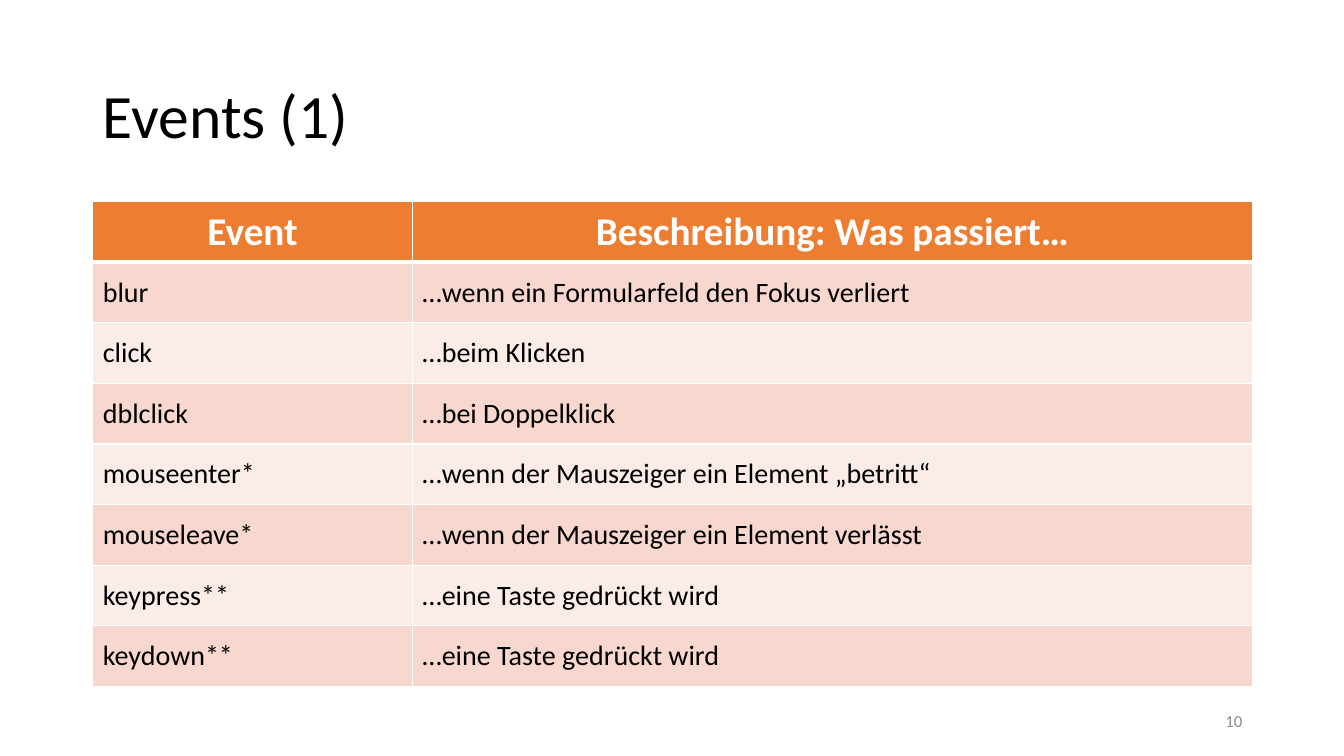
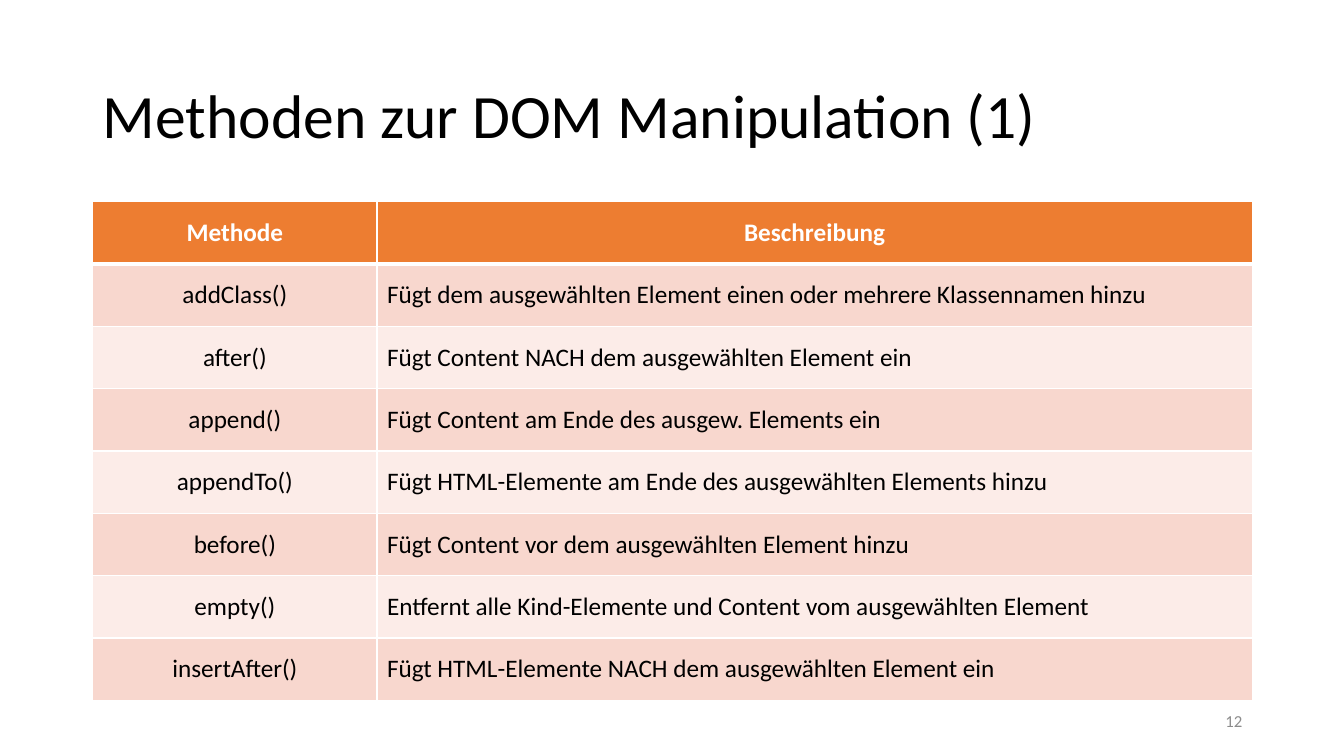
import lxml.etree
import pptx
import pptx.dml.color
import pptx.enum.text
import pptx.oxml.ns
import pptx.util

ALIGN = pptx.enum.text.PP_ALIGN
MIDDLE = pptx.enum.text.MSO_ANCHOR.MIDDLE
COLORS = {"text": "000000", "white": "FFFFFF", "header": "ED7D31",
          "odd row": "F8D7CE", "even row": "FCECE8", "page number": "8C8C8C"}
FONT = "Calibri"

deck = pptx.Presentation()
deck.slide_width = pptx.util.Inches(13.33)
deck.slide_height = pptx.util.Inches(7.5)

# Shared grid
LEFT = pptx.util.Inches(0.92)
WIDTH = pptx.util.Inches(11.5)
TITLE_BOX = {"left": LEFT, "top": pptx.util.Inches(0.5),
             "width": WIDTH, "height": pptx.util.Inches(1.35)}
TABLE_TOP = pptx.util.Inches(2)
NUMBER_WIDTH = pptx.util.Inches(3)
NUMBER_TOP = pptx.util.Inches(6.95)
NUMBER_HEIGHT = pptx.util.Inches(0.4)

# Content of each slide
pages = [
    {"title": "Events (1)", "number": "10", "table height": 4.81, "first column": 3.17,
     "header size": 28, "row size": 20, "first align": ALIGN.LEFT,
     "rows": [
         ("Event", "Beschreibung: Was passiert…"),
         ("blur", "…wenn ein Formularfeld den Fokus verliert"),
         ("click", "…beim Klicken"),
         ("dblclick", "…bei Doppelklick"),
         ("mouseenter*", "…wenn der Mauszeiger ein Element „betritt“"),
         ("mouseleave*", "…wenn der Mauszeiger ein Element verlässt"),
         ("keypress**", "…eine Taste gedrückt wird"),
         ("keydown**", "…eine Taste gedrückt wird")]},
    {"title": "Methoden zur DOM Manipulation (1)", "number": "12", "table height": 4.95,
     "first column": 2.82, "header size": 18, "row size": 18, "first align": ALIGN.CENTER,
     "rows": [
         ("Methode", "Beschreibung"),
         ("addClass()", "Fügt dem ausgewählten Element einen oder mehrere Klassennamen hinzu"),
         ("after()", "Fügt Content NACH dem ausgewählten Element ein"),
         ("append()", "Fügt Content am Ende des ausgew. Elements ein"),
         ("appendTo()", "Fügt HTML-Elemente am Ende des ausgewählten Elements hinzu"),
         ("before()", "Fügt Content vor dem ausgewählten Element hinzu"),
         ("empty()", "Entfernt alle Kind-Elemente und Content vom ausgewählten Element"),
         ("insertAfter()", "Fügt HTML-Elemente NACH dem ausgewählten Element ein")]},
]


def write(frame, text, size, color, align, bold=False):
    frame.text = text
    paragraph = frame.paragraphs[0]
    paragraph.alignment = align
    font = paragraph.runs[0].font
    for key, value in {"name": FONT, "size": pptx.util.Pt(size), "bold": bold}.items():
        setattr(font, key, value)
    font.color.rgb = pptx.dml.color.RGBColor.from_string(COLORS[color])
    return paragraph


def add_borders(cell, top, bottom):
    properties = cell._tc.get_or_add_tcPr()
    widths = {"a:lnL": 1, "a:lnR": 1, "a:lnT": top, "a:lnB": bottom}
    for place, (side, points) in enumerate(widths.items()):
        line = lxml.etree.Element(pptx.oxml.ns.qn(side), w=str(pptx.util.Pt(points)))
        fill = lxml.etree.SubElement(line, pptx.oxml.ns.qn("a:solidFill"))
        lxml.etree.SubElement(fill, pptx.oxml.ns.qn("a:srgbClr"), val=COLORS["white"])
        properties.insert(place, line)


for page in pages:
    slide = deck.slides.add_slide(deck.slide_layouts.get_by_name("Title Only"))

    # Title
    title = slide.shapes.title
    for key, value in TITLE_BOX.items():
        setattr(title, key, value)
    title.text_frame.vertical_anchor = MIDDLE
    write(title.text_frame, page["title"], 44, "text", ALIGN.LEFT).line_spacing = 0.9

    # Table
    rows = page["rows"]
    height = pptx.util.Inches(page["table height"])
    table = slide.shapes.add_table(len(rows), 2, LEFT, TABLE_TOP, WIDTH, height).table
    table.horz_banding = False
    table.columns[0].width = pptx.util.Inches(page["first column"])
    table.columns[1].width = WIDTH - table.columns[0].width
    for r, texts in enumerate(rows):
        table.rows[r].height = height // len(rows)
        is_header = r == 0
        fill = "header" if is_header else "odd row" if r % 2 else "even row"
        for c, text in enumerate(texts):
            cell = table.cell(r, c)
            cell.vertical_anchor = MIDDLE
            cell.fill.solid()
            cell.fill.fore_color.rgb = pptx.dml.color.RGBColor.from_string(COLORS[fill])
            add_borders(cell, 3 if r == 1 else 1, 3 if is_header else 1)
            if is_header:
                write(cell.text_frame, text, page["header size"], "white", ALIGN.CENTER, True)
            else:
                align = page["first align"] if c == 0 else ALIGN.LEFT
                write(cell.text_frame, text, page["row size"], "text", align)

    # Page number, flush with the table's right edge
    number = slide.shapes.add_textbox(LEFT + WIDTH - NUMBER_WIDTH, NUMBER_TOP,
                                      NUMBER_WIDTH, NUMBER_HEIGHT).text_frame
    number.word_wrap = True
    number.vertical_anchor = MIDDLE
    write(number, page["number"], 12, "page number", ALIGN.RIGHT)

deck.save("out.pptx")
